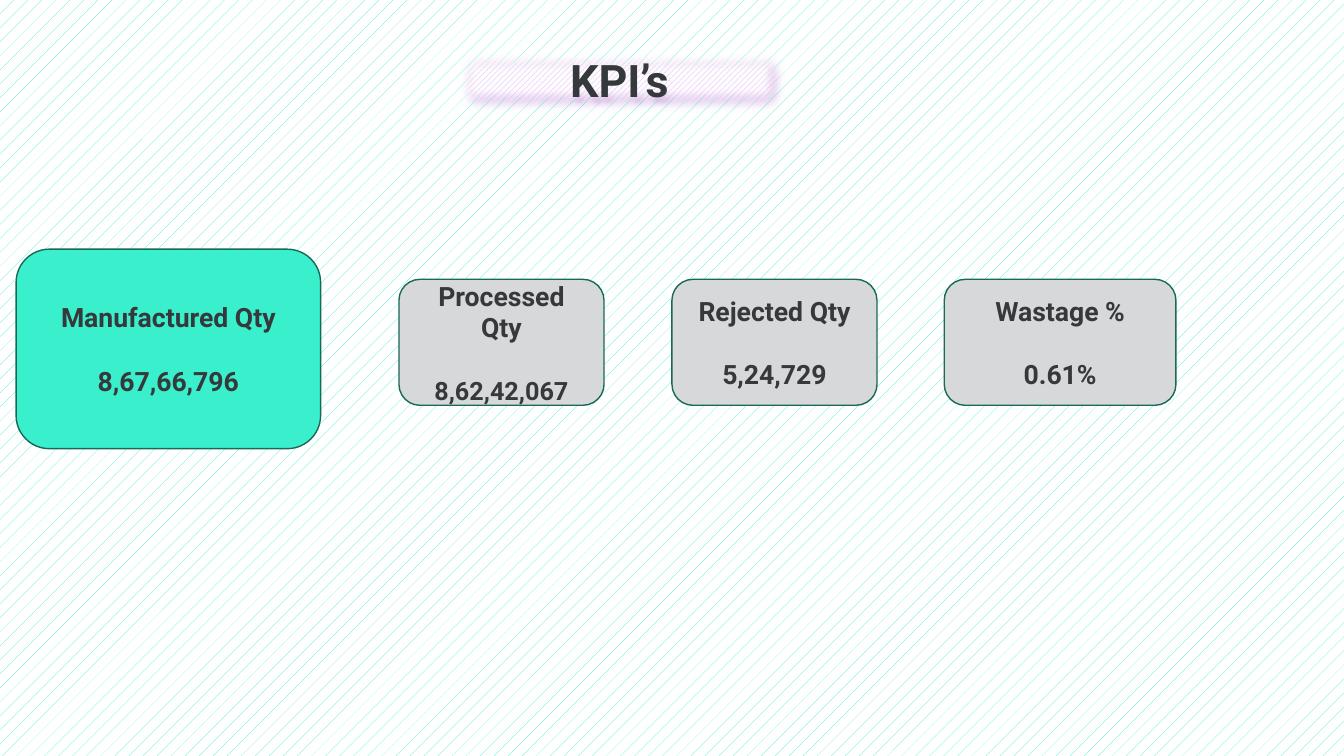
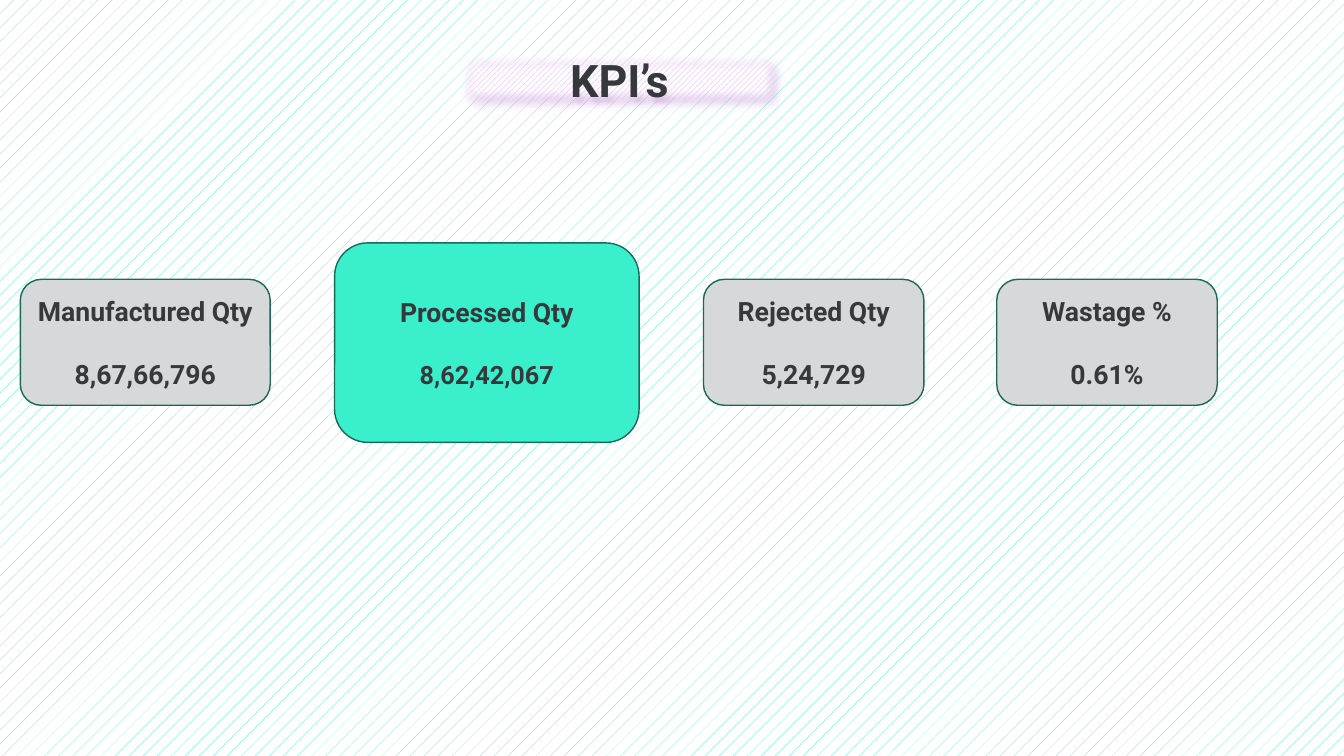
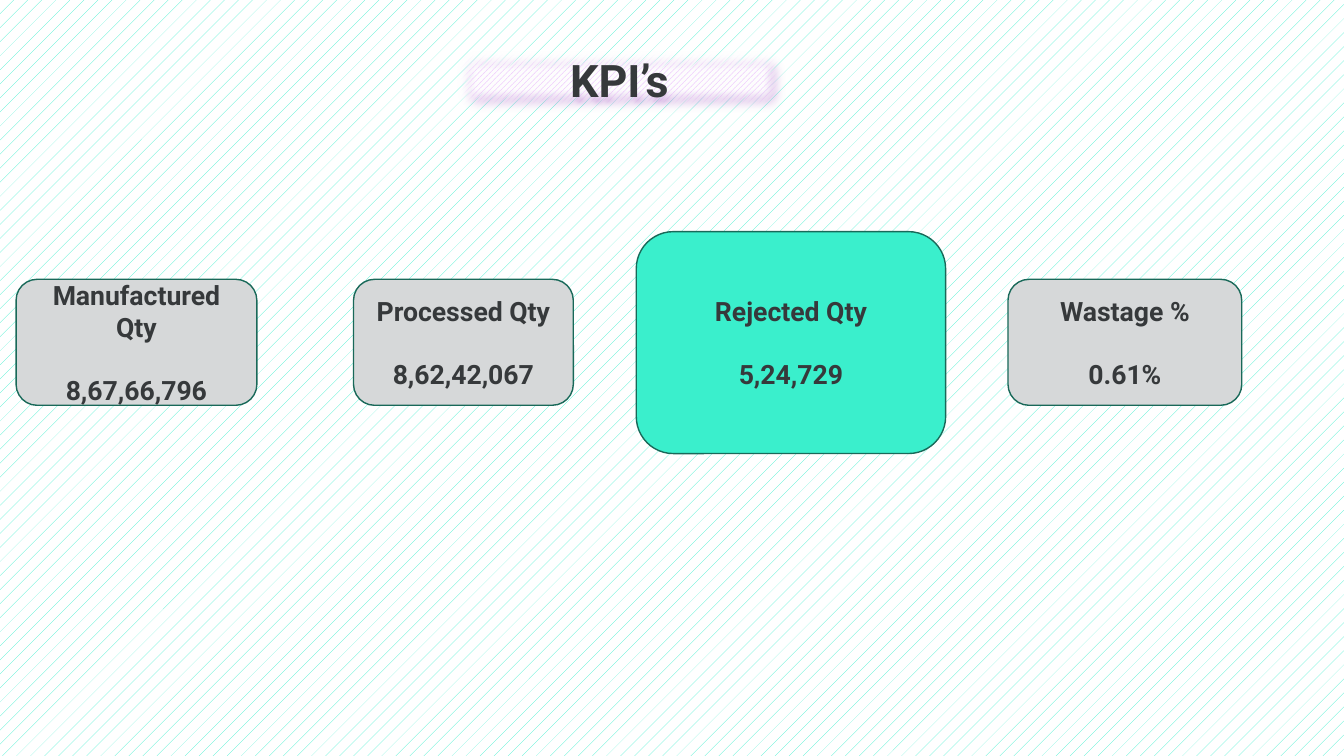
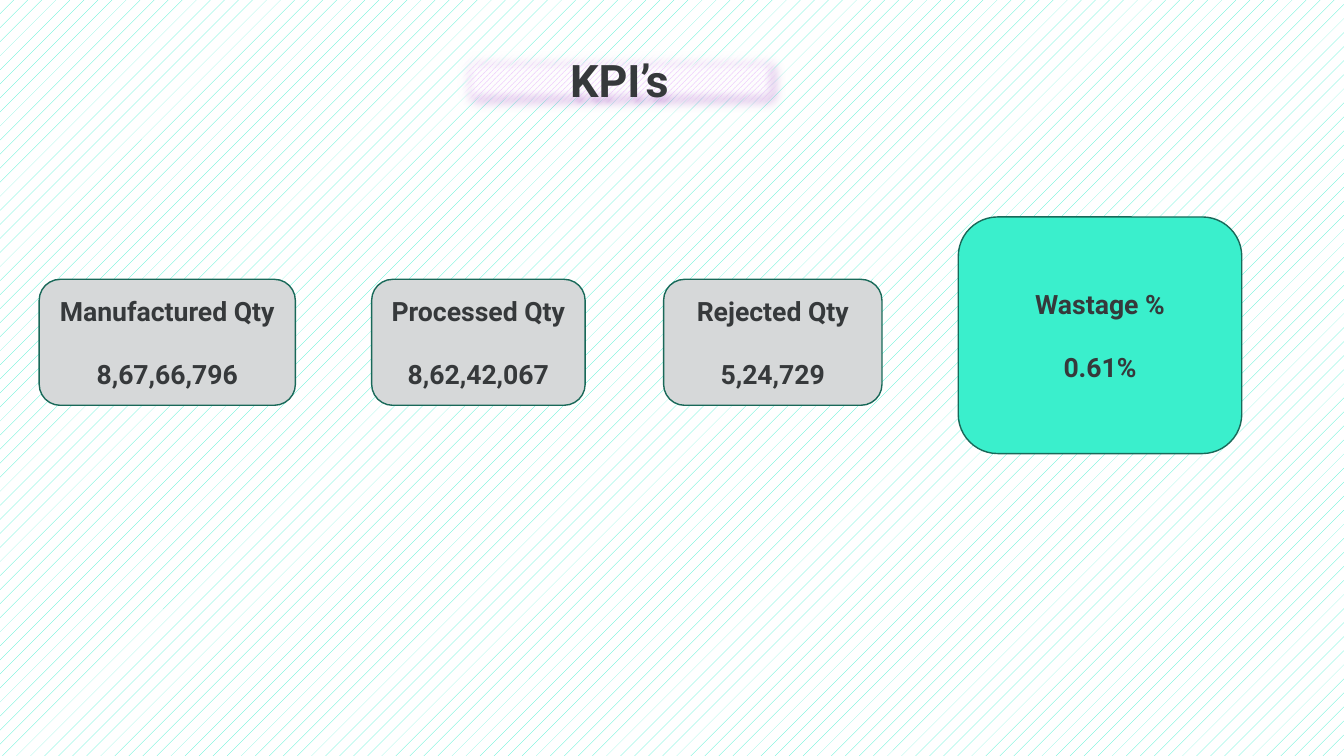
from dataclasses import dataclass
from typing import Optional

from lxml.etree import SubElement
from pptx import Presentation
from pptx.dml.color import RGBColor
from pptx.enum.dml import MSO_PATTERN_TYPE
from pptx.enum.shapes import MSO_SHAPE
from pptx.enum.text import MSO_ANCHOR, MSO_AUTO_SIZE, PP_ALIGN
from pptx.oxml.ns import qn
from pptx.util import Pt


@dataclass(frozen=True)
class Theme:
    font: str = "Roboto"
    ink: str = "36393B"
    accent: str = "3AEFCC"
    muted: str = "D6D8D9"
    outline: str = "196959"
    dark_outline: str = "1B1C1E"
    paper: str = "FFFFFF"
    title_stripe: str = "DF98FD"
    title_shadow: str = "7504A4"
    title_size: float = 32
    kpi_size: float = 19
    small_value_size: float = 18
    value_gap: float = 22.5
    outline_width: float = 1


@dataclass(frozen=True)
class Kpi:
    label: str
    value: str


@dataclass(frozen=True)
class Card:
    left: float
    width: float
    top: float = 199.5
    height: float = 90
    highlighted: bool = False
    value_size: Optional[float] = None


@dataclass(frozen=True)
class KpiSlide:
    cards: tuple[Card, ...]
    title_outline: str


THEME = Theme()
SMALL = THEME.small_value_size

KPIS = (
    Kpi("Manufactured Qty", "8,67,66,796"),
    Kpi("Processed Qty", "8,62,42,067"),
    Kpi("Rejected Qty", "5,24,729"),
    Kpi("Wastage %", "0.61%"),
)

SLIDES = (
    KpiSlide(
        (
            Card(11.5, 217.5, 178, 142.5, True),
            Card(285, 146.5, value_size=SMALL),
            Card(480, 146.5),
            Card(674.5, 165.5),
        ),
        THEME.dark_outline,
    ),
    KpiSlide(
        (
            Card(14.5, 178.5),
            Card(239, 217.5, 173.5, 142.5, True, SMALL),
            Card(502.5, 157.5),
            Card(712, 157.5),
        ),
        THEME.outline,
    ),
    KpiSlide(
        (
            Card(11.5, 172),
            Card(252.5, 157),
            Card(454.5, 221, 165.5, 158.5, True),
            Card(720, 167),
        ),
        THEME.outline,
    ),
    KpiSlide(
        (
            Card(28, 183),
            Card(265.5, 152.5),
            Card(474, 156),
            Card(684.5, 202.5, 155, 169, True),
        ),
        THEME.outline,
    ),
)


def rgb(colour: str) -> RGBColor:
    return RGBColor.from_string(colour)


def fill_pattern(fill, pattern, stripe: str) -> None:
    fill.patterned()
    fill.pattern = pattern
    fill.fore_color.rgb = rgb(stripe)
    fill.back_color.rgb = rgb(THEME.paper)


def add_panel(slide, preset, left: float, top: float, width: float, height: float, outline: str):
    panel = slide.shapes.add_shape(preset, Pt(left), Pt(top), Pt(width), Pt(height))
    panel.shadow.inherit = False
    panel.line.color.rgb = rgb(outline)
    panel.line.width = Pt(THEME.outline_width)
    panel.text_frame.word_wrap = True
    panel.text_frame.vertical_anchor = MSO_ANCHOR.MIDDLE
    return panel


def write(paragraph, text: str, size: float) -> None:
    paragraph.alignment = PP_ALIGN.CENTER
    run = paragraph.add_run()
    run.text = text
    run.font.name = THEME.font
    run.font.size = Pt(size)
    run.font.bold = True
    run.font.color.rgb = rgb(THEME.ink)


def add_glow(panel) -> None:
    effects = panel._element.spPr.find(qn("a:effectLst"))
    shadow = SubElement(
        effects,
        qn("a:outerShdw"),
        blurRad=str(Pt(4)),
        dist=str(Pt(3)),
        dir="2700000",
        algn="tl",
        rotWithShape="0",
    )
    colour = SubElement(shadow, qn("a:srgbClr"), val=THEME.title_shadow)
    SubElement(colour, qn("a:alpha"), val="40000")
    SubElement(effects, qn("a:softEdge"), rad=str(Pt(8.86)))


def add_title(slide, outline: str) -> None:
    title = add_panel(slide, MSO_SHAPE.RECTANGLE, 324, 34, 237, 46, outline)
    fill_pattern(title.fill, MSO_PATTERN_TYPE.WIDE_UPWARD_DIAGONAL, THEME.title_stripe)
    add_glow(title)
    title.text_frame.auto_size = MSO_AUTO_SIZE.SHAPE_TO_FIT_TEXT
    write(title.text_frame.paragraphs[0], "KPI’s", THEME.title_size)


def add_card(slide, card: Card, kpi: Kpi) -> None:
    panel = add_panel(
        slide, MSO_SHAPE.ROUNDED_RECTANGLE,
        card.left, card.top, card.width, card.height, THEME.outline,
    )
    panel.fill.solid()
    panel.fill.fore_color.rgb = rgb(THEME.accent if card.highlighted else THEME.muted)
    write(panel.text_frame.paragraphs[0], kpi.label, THEME.kpi_size)
    value = panel.text_frame.add_paragraph()
    value.space_before = Pt(THEME.value_gap)
    write(value, kpi.value, card.value_size or THEME.kpi_size)


def main() -> None:
    deck = Presentation()
    deck.slide_width, deck.slide_height = Pt(960), Pt(540)
    fill_pattern(deck.slide_master.background.fill, MSO_PATTERN_TYPE.PERCENT_5, THEME.accent)
    for content in SLIDES:
        slide = deck.slides.add_slide(deck.slide_layouts[6])
        for card, kpi in zip(content.cards, KPIS):
            add_card(slide, card, kpi)
        add_title(slide, content.title_outline)
    deck.save("out.pptx")


if __name__ == "__main__":
    main()
